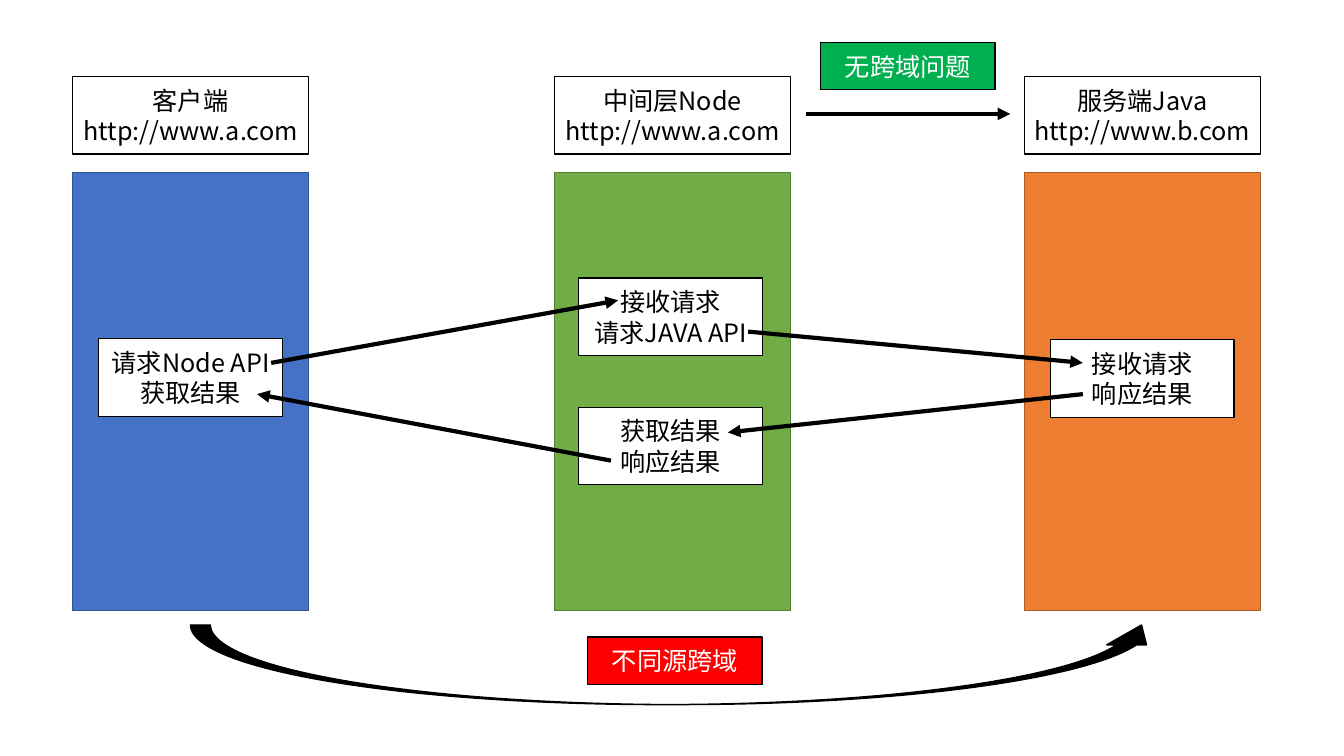
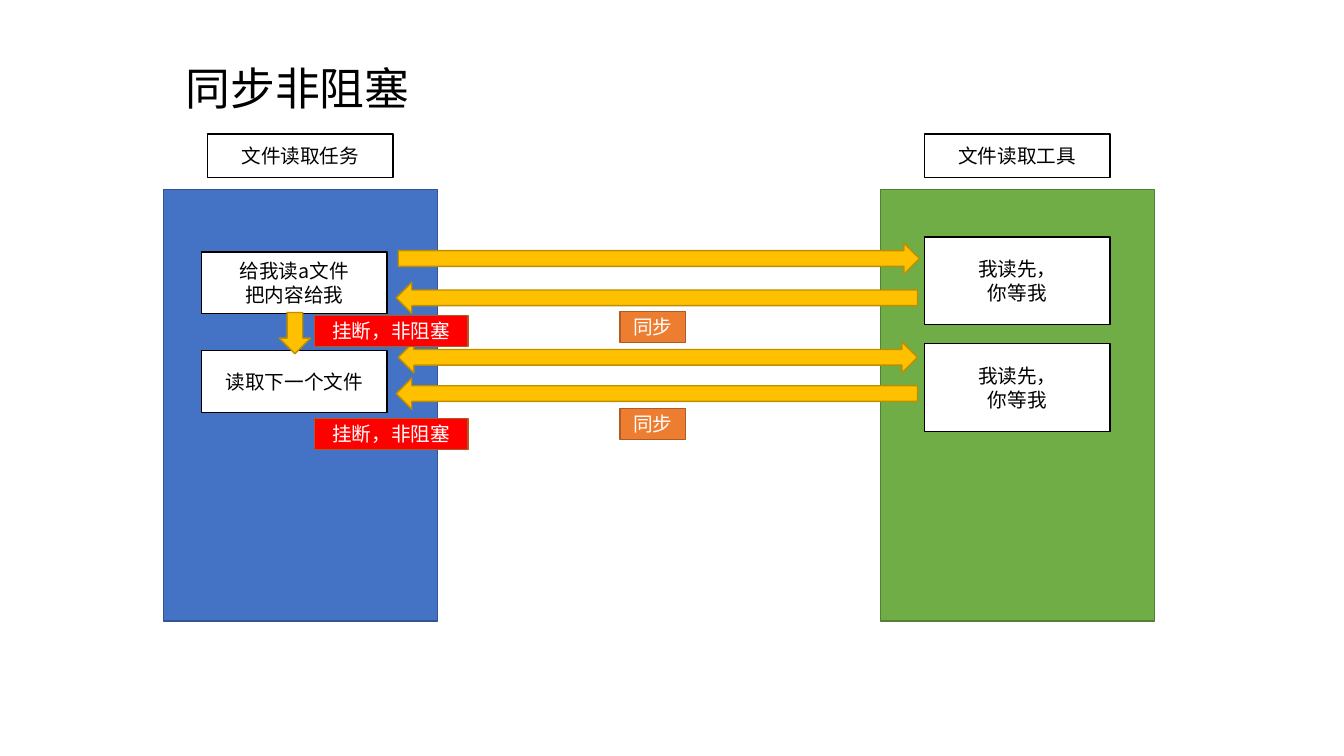
from dataclasses import dataclass
from typing import NamedTuple

from pptx import Presentation
from pptx.dml.color import RGBColor
from pptx.enum import shapes, text
from pptx.oxml import ns, xmlchemy
from pptx.util import Inches, Pt

Shape = shapes.MSO_SHAPE


class Paint(NamedTuple):
    fill: str
    line: str
    ink: str = "FFFFFF"


@dataclass(frozen=True)
class Theme:
    font: str = "Noto Sans CJK SC"
    black: str = "000000"
    blue: Paint = Paint("4472C4", "325491")
    green: Paint = Paint("70AD47", "538035")
    orange: Paint = Paint("ED7D31", "AF5C24")
    gold: Paint = Paint("FFC000", "BD8E00")
    card: Paint = Paint("FFFFFF", "000000", "000000")
    solid: Paint = Paint("000000", "000000")
    allowed: Paint = Paint("00B050", "000000")
    denied: Paint = Paint("FF0000", "000000")
    hang_up: Paint = Paint("FF0000", "AF5C24")
    title_size: int = 32
    large: int = 18
    small: int = 14
    outline: int = 1
    arrow: int = 3


THEME = Theme()


class Block(NamedTuple):
    left: float
    top: float
    width: float
    height: float
    paint: Paint
    lines: tuple[str, ...] = ()
    kind: Shape = Shape.RECTANGLE


class Arrow(NamedTuple):
    start: tuple[float, float]
    end: tuple[float, float]


def write(frame, lines: tuple[str, ...], size: int, ink: str, align) -> None:
    """Fill a text frame with one paragraph per line."""
    for index, line in enumerate(lines):
        para = frame.paragraphs[0] if index == 0 else frame.add_paragraph()
        para.alignment = align
        span = para.add_run()
        span.text = line
        span.font.size = Pt(size)
        span.font.color.rgb = RGBColor.from_string(ink)
        span.font.name = THEME.font
        east_asian = xmlchemy.OxmlElement("a:ea")
        east_asian.set("typeface", THEME.font)
        span.font._element.append(east_asian)


def draw_block(page, block: Block, size: int) -> None:
    box = page.shapes.add_shape(block.kind, *map(Inches, block[:4]))
    box.shadow.inherit = False
    box.fill.solid()
    box.fill.fore_color.rgb = RGBColor.from_string(block.paint.fill)
    box.line.color.rgb = RGBColor.from_string(block.paint.line)
    box.line.width = Pt(THEME.outline)
    box.text_frame.word_wrap = True
    box.text_frame.vertical_anchor = text.MSO_ANCHOR.MIDDLE
    write(box.text_frame, block.lines, size, block.paint.ink, text.PP_ALIGN.CENTER)


def draw_arrow(page, arrow: Arrow) -> None:
    line = page.shapes.add_connector(
        shapes.MSO_CONNECTOR.STRAIGHT, *map(Inches, arrow.start + arrow.end))
    line.line.color.rgb = RGBColor.from_string(THEME.black)
    line.line.width = Pt(THEME.arrow)
    head = xmlchemy.OxmlElement("a:tailEnd")
    head.set("type", "triangle")
    properties = line._element.find(ns.qn("p:spPr"))
    properties.find(ns.qn("a:ln")).append(head)
    properties.append(xmlchemy.OxmlElement("a:effectLst"))


def draw_title(page, title: str) -> None:
    box = page.shapes.title
    box.left, box.top, box.width, box.height = map(Inches, (1.74, 0.55, 4.85, 0.64))
    frame = box.text_frame
    frame.word_wrap = True
    frame.auto_size = text.MSO_AUTO_SIZE.NONE
    frame.vertical_anchor = text.MSO_ANCHOR.TOP
    write(frame, (title,), THEME.title_size, THEME.black, text.PP_ALIGN.LEFT)


def build_cross_origin(deck) -> None:
    page = deck.slides.add_slide(deck.slide_layouts[6])

    # Three tiers, each with a heading above its panel
    tiers = (
        (0.72, THEME.blue, ("客户端", "http://www.a.com")),
        (5.5, THEME.green, ("中间层Node", "http://www.a.com")),
        (10.16, THEME.orange, ("服务端Java", "http://www.b.com")),
    )
    for left, paint, heading in tiers:
        draw_block(page, Block(left, 1.71, 2.34, 4.35, paint), THEME.large)
        draw_block(page, Block(left, 0.76, 2.34, 0.77, THEME.card, heading), THEME.large)

    # Steps inside the panels
    steps = (
        (0.98, 3.36, ("请求Node API", "获取结果")),
        (5.74, 2.76, ("接收请求", "请求JAVA API")),
        (10.42, 3.37, ("接收请求", "响应结果")),
        (5.74, 4.04, ("获取结果", "响应结果")),
    )
    for left, top, lines in steps:
        draw_block(page, Block(left, top, 1.82, 0.77, THEME.card, lines), THEME.large)

    # Request and response paths, then the direct call between servers
    for arrow in (
        Arrow((2.69, 3.6), (6.13, 2.98)),
        Arrow((7.42, 3.29), (10.74, 3.6)),
        Arrow((10.74, 3.91), (7.22, 4.29)),
        Arrow((6.06, 4.57), (2.55, 3.91)),
        Arrow((7.99, 1.13), (10.02, 1.13)),
    ):
        draw_arrow(page, arrow)

    # Verdicts on each route
    for block in (
        Block(8.14, 0.42, 1.73, 0.47, THEME.allowed, ("无跨域问题",)),
        Block(1.89, 6.2, 9.63, 0.79, THEME.solid, kind=Shape.CURVED_UP_ARROW),
        Block(5.83, 6.32, 1.73, 0.47, THEME.denied, ("不同源跨域",)),
    ):
        draw_block(page, block, THEME.large)


def build_sync_non_blocking(deck) -> None:
    page = deck.slides.add_slide(deck.slide_layouts[5])
    draw_title(page, "同步非阻塞")
    card, gold = THEME.card, THEME.gold
    wait = ("我读先，", "你等我")

    blocks = [
        # Panels and headings
        Block(1.62, 1.88, 2.72, 4.28, THEME.blue),
        Block(8.73, 1.88, 2.72, 4.28, THEME.green),
        Block(2.06, 1.33, 1.84, 0.43, card, ("文件读取任务",)),
        Block(9.17, 1.33, 1.84, 0.43, card, ("文件读取工具",)),
        # Task steps and tool replies
        Block(2, 2.5, 1.84, 0.61, card, ("给我读a文件", "把内容给我")),
        Block(2, 3.48, 1.84, 0.61, card, ("读取下一个文件",)),
        Block(9.17, 2.35, 1.84, 0.87, card, wait),
        Block(9.17, 3.41, 1.84, 0.87, card, wait),
        # Message arrows
        Block(3.95, 2.41, 5.17, 0.31, gold, kind=Shape.RIGHT_ARROW),
        Block(3.93, 2.8, 5.17, 0.31, gold, kind=Shape.LEFT_ARROW),
        Block(2.77, 3.1, 0.31, 0.41, gold, kind=Shape.DOWN_ARROW),
        Block(3.95, 3.39, 5.15, 0.31, gold, kind=Shape.LEFT_RIGHT_ARROW),
        Block(3.93, 3.75, 5.17, 0.31, gold, kind=Shape.LEFT_ARROW),
    ]
    # State labels under each exchange
    for sync_top, hang_up_top in ((3.09, 3.13), (4.05, 4.15)):
        blocks += [
            Block(6.15, sync_top, 0.65, 0.31, THEME.orange, ("同步",)),
            Block(3.12, hang_up_top, 1.52, 0.31, THEME.hang_up, ("挂断，非阻塞",)),
        ]
    for block in blocks:
        draw_block(page, block, THEME.small)


def main() -> None:
    deck = Presentation()
    deck.slide_width, deck.slide_height = Inches(13.33), Inches(7.5)
    build_cross_origin(deck)
    build_sync_non_blocking(deck)
    deck.save("out.pptx")


if __name__ == "__main__":
    main()
